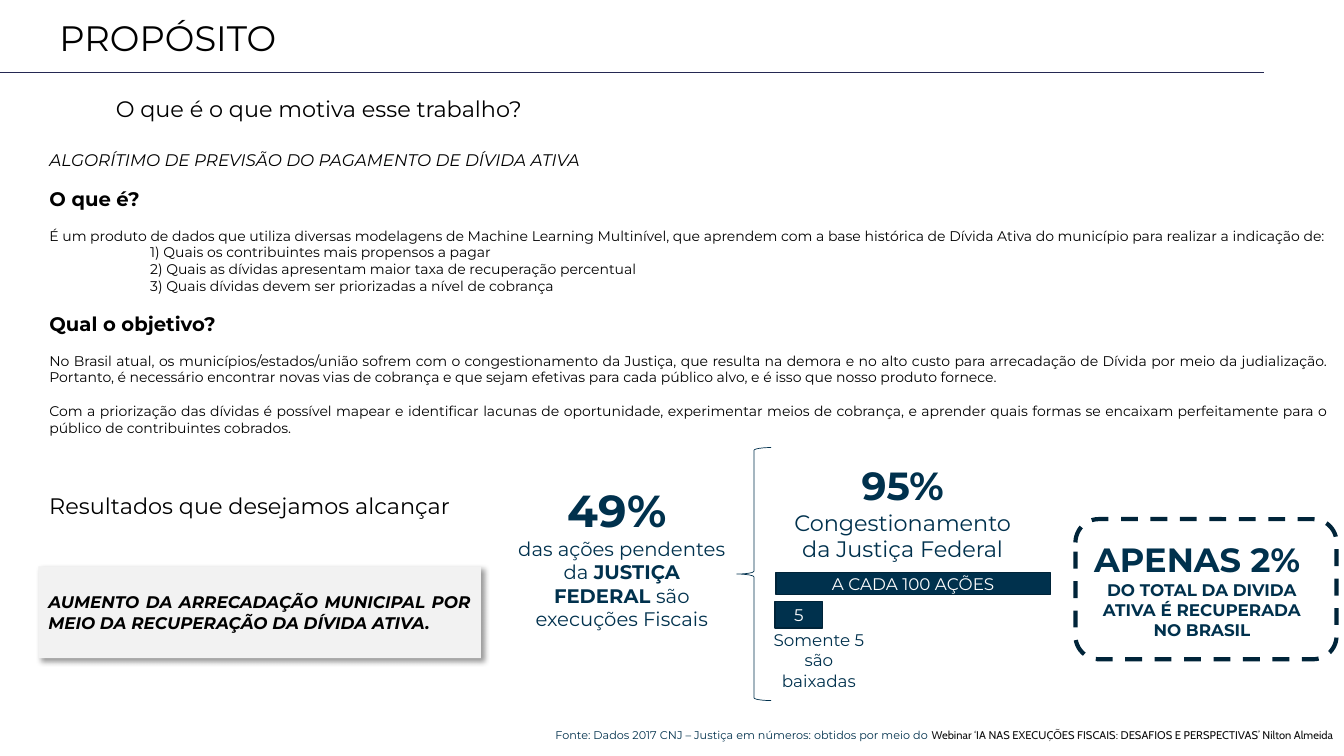
from lxml import etree
from pptx import Presentation
from pptx.dml.color import RGBColor
from pptx.enum.dml import MSO_LINE
from pptx.enum.shapes import MSO_CONNECTOR, MSO_SHAPE as Shape
from pptx.enum.text import MSO_ANCHOR as Anchor, MSO_AUTO_SIZE, PP_ALIGN as Align
from pptx.oxml.ns import qn
from pptx.util import Pt

BLACK = RGBColor(0x00, 0x00, 0x00)
WHITE = RGBColor(0xFF, 0xFF, 0xFF)
NAVY = RGBColor(0x00, 0x31, 0x4D)
DARK_NAVY = RGBColor(0x00, 0x24, 0x39)
RULE_BLUE = RGBColor(0x24, 0x28, 0x52)
SOURCE_GREY = RGBColor(0x0F, 0x0F, 0x0F)
PALE_GREY = RGBColor(0xF2, 0xF2, 0xF2)


def run(text, size, color=NAVY, bold=False, italic=False, font="Montserrat"):
    return text, size, color, bold, italic, font


def para(*runs, align=Align.LEFT, before=0, spacing=1.0, indent=0):
    return runs, align, before, spacing, indent


def centered(*runs):
    return para(*runs, align=Align.CENTER)


class SlideBuilder:
    """Holds the slide and the shared style of its elements."""

    def __init__(self, slide):
        self.slide = slide

    def fill_text(self, shape, paragraphs, anchor=Anchor.TOP):
        frame = shape.text_frame
        frame.word_wrap = True
        frame.auto_size = MSO_AUTO_SIZE.NONE
        frame.vertical_anchor = anchor
        for index, (runs, align, before, spacing, indent) in enumerate(paragraphs):
            paragraph = frame.add_paragraph() if index else frame.paragraphs[0]
            paragraph.alignment = align
            paragraph.line_spacing = spacing
            paragraph.space_before = Pt(before)
            paragraph.space_after = Pt(0)
            if shape.is_placeholder:
                properties = paragraph._p.get_or_add_pPr()
                properties.set("marL", str(Pt(indent)))
                properties.set("indent", "0")
                etree.SubElement(properties, qn("a:buNone"))
            for text, size, color, bold, italic, font in runs:
                piece = paragraph.add_run()
                piece.text = text
                piece.font.size = Pt(size)
                piece.font.color.rgb = color
                piece.font.bold = bold
                piece.font.italic = italic
                piece.font.name = font

    def placeholder(self, index, box, paragraphs, anchor=Anchor.TOP):
        shape = self.slide.placeholders[index]
        shape.left, shape.top, shape.width, shape.height = map(Pt, box)
        self.fill_text(shape, paragraphs, anchor)

    def text(self, box, paragraphs, anchor=Anchor.TOP):
        self.fill_text(self.slide.shapes.add_textbox(*map(Pt, box)), paragraphs, anchor)

    def shape(self, kind, box, fill=None, line=None, width=1, dash=None, paragraphs=()):
        shape = self.slide.shapes.add_shape(kind, *map(Pt, box))
        shape.shadow.inherit = False
        if fill is None:
            shape.fill.background()
        else:
            shape.fill.solid()
            shape.fill.fore_color.rgb = fill
        if line is None:
            shape.line.fill.background()
        else:
            shape.line.color.rgb = line
            shape.line.width = Pt(width)
            if dash:
                shape.line.dash_style = dash
        self.fill_text(shape, paragraphs, Anchor.MIDDLE)
        return shape

    def cast_shadow(self, shape, blur, distance, angle, opacity):
        effects = shape._element.spPr.find(qn("a:effectLst"))
        shadow = etree.SubElement(
            effects, qn("a:outerShdw"), blurRad=str(Pt(blur)), dist=str(Pt(distance)),
            dir=str(angle * 60000), algn="tl", rotWithShape="0")
        color = etree.SubElement(shadow, qn("a:srgbClr"), val=str(BLACK))
        etree.SubElement(color, qn("a:alpha"), val=str(opacity * 1000))

    def rule(self, left, right, y):
        line = self.slide.shapes.add_connector(
            MSO_CONNECTOR.STRAIGHT, Pt(left), Pt(y), Pt(right), Pt(y))
        line.line.color.rgb = RULE_BLUE
        line.line.width = Pt(0.5)
        etree.SubElement(line._element.spPr, qn("a:effectLst"))


def explanation():
    """Paragraphs of the main text."""
    gap = 12.2

    def heading(text):
        return para(run(text, 14, BLACK, bold=True), before=gap)

    def body(text, before=gap, indent=0):
        return para(run(text, 10, BLACK), align=Align.JUSTIFY, before=before, indent=indent)

    questions = ("Quais os contribuintes mais propensos a pagar",
                 "Quais as dívidas apresentam maior taxa de recuperação percentual",
                 "Quais dívidas devem ser priorizadas a nível de cobrança")
    return [
        para(run("ALGORÍTIMO DE PREVISÃO DO PAGAMENTO DE DÍVIDA ATIVA", 12, BLACK, italic=True)),
        heading("O que é?"),
        body("É um produto de dados que utiliza diversas modelagens de Machine Learning "
             "Multinível, que aprendem com a base histórica de Dívida Ativa do município "
             "para realizar a indicação de:"),
        *(body(f"{number}) {question}", before=0, indent=72)
          for number, question in enumerate(questions, 1)),
        heading("Qual o objetivo?"),
        body("No Brasil atual, os municípios/estados/união sofrem com o congestionamento da "
             "Justiça, que resulta na demora e no alto custo para arrecadação de Dívida por "
             "meio da judialização. Portanto, é necessário encontrar novas vias de cobrança e "
             "que sejam efetivas para cada público alvo, e é isso que nosso produto fornece."),
        body("Com a priorização das dívidas é possível mapear e identificar lacunas de "
             "oportunidade, experimentar meios de cobrança, e aprender quais formas se "
             "encaixam perfeitamente para o público de contribuintes cobrados."),
    ]


def main():
    presentation = Presentation()
    presentation.slide_width, presentation.slide_height = Pt(960), Pt(540)
    builder = SlideBuilder(presentation.slides.add_slide(presentation.slide_layouts[1]))

    # Title and main text
    builder.rule(0, 903, 52)
    builder.placeholder(0, (35.3, 13.7, 827.3, 31.7),
                        [para(run("PROPÓSITO", 25.2, BLACK), spacing=0.8)], Anchor.MIDDLE)
    builder.placeholder(1, (28.1, 103, 926.6, 227.5), explanation())

    # Section headings
    builder.text((75.6, 56.9, 814.3, 43.2),
                 [para(run("O que é o que motiva esse trabalho?", 16, BLACK), spacing=0.95)],
                 Anchor.MIDDLE)
    builder.text((28.1, 341.3, 315.4, 43.2),
                 [para(run("Resultados que desejamos alcançar", 16, BLACK), spacing=0.85)],
                 Anchor.MIDDLE)

    # Desired result
    result = builder.shape(Shape.RECTANGLE, (27.4, 404.6, 316.1, 65.5), PALE_GREY, paragraphs=[
        para(run("AUMENTO DA ARRECADAÇÃO MUNICIPAL POR MEIO DA RECUPERAÇÃO DA DÍVIDA ATIVA.",
                 12, BLACK, bold=True, italic=True), align=Align.JUSTIFY)])
    builder.cast_shadow(result, blur=4, distance=3, angle=45, opacity=40)

    # Pending lawsuits
    builder.text((361.4, 341.3, 165.6, 113.8), [
        centered(run("49%", 32, bold=True), run(" ", 24, bold=True)),
        centered(run("das ações pendentes da ", 14), run("JUSTIÇA FEDERAL ", 14, bold=True),
                 run("são execuções Fiscais", 14))])
    builder.shape(Shape.LEFT_BRACE, (526.3, 319.7, 24.5, 180.7), line=NAVY, width=0.5)

    # Court congestion
    builder.text((550.1, 326.2, 189.4, 79.9), [
        centered(run("95%", 28, bold=True)),
        centered(run("Congestionamento da Justiça Federal", 16))])
    for label, box in (("A CADA 100 AÇÕES", (554.4, 409, 195.8, 15.8)),
                       ("5", (553.7, 429.8, 33.8, 18.7))):
        builder.shape(Shape.RECTANGLE, box, NAVY, DARK_NAVY,
                      paragraphs=[centered(run(label, 12, WHITE))])
    builder.text((545, 446.4, 79.9, 51.1), [centered(run("Somente 5 são baixadas", 12))])

    # Recovered share
    builder.text((773.3, 381.6, 170.6, 79.9), [
        centered(run("APENAS 2% ", 24, bold=True)),
        centered(run("DO TOTAL DA DIVIDA ATIVA É RECUPERADA NO BRASIL", 12, bold=True))])
    builder.shape(Shape.ROUNDED_RECTANGLE, (768.2, 370.8, 186.5, 100.1),
                  line=DARK_NAVY, width=3, dash=MSO_LINE.DASH)

    # Source
    builder.text((0, 517, 960, 17.3), [para(
        run("Fonte: Dados 2017 CNJ – Justiça em números: obtidos por meio do ", 8),
        run("Webinar ‘IA NAS EXECUÇÕES FISCAIS: DESAFIOS E PERSPECTIVAS’ Nilton Almeida",
            8, SOURCE_GREY, font="Cabin"), align=Align.RIGHT)])

    presentation.save("out.pptx")


if __name__ == "__main__":
    main()
